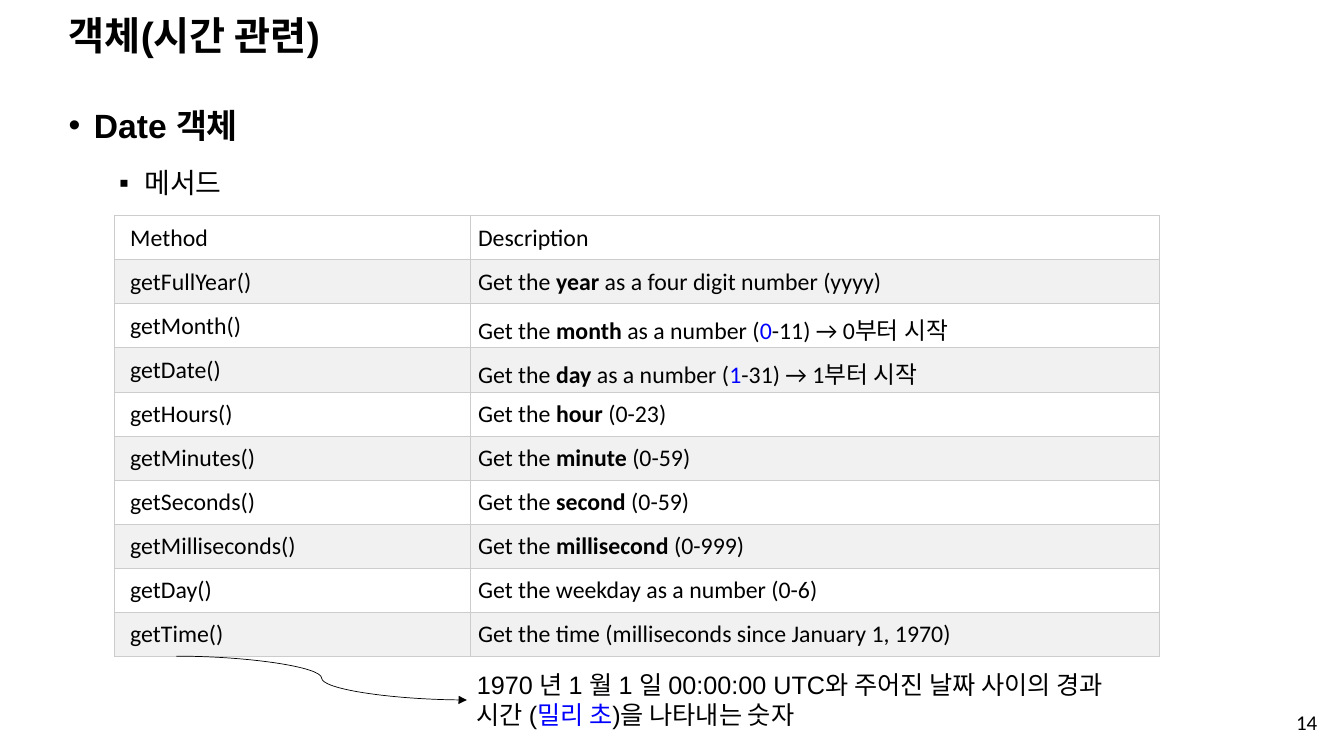
import pptx
import pptx.util
import pptx.dml.color
import pptx.enum.shapes
import pptx.enum.text
import pptx.oxml
import pptx.oxml.ns
from lxml import etree

Pt = pptx.util.Pt
Anchor = pptx.enum.text.MSO_ANCHOR
Align = pptx.enum.text.PP_ALIGN
NS = pptx.oxml.ns.nsdecls("a")
BLACK, BLUE, GRID = "000000", "0000FF", "CCCCCC"
BANDS = ("FFFFFF", "F1F1F1")


def paint(code):
    return pptx.dml.color.RGBColor.from_string(code)


def node(text):
    return pptx.oxml.parse_xml(text)


class Page:
    def __init__(self, deck):
        self.slide = deck.slides.add_slide(deck.slide_layouts[5])
        self.shapes = self.slide.shapes
        self.style = {"name": "Arial", "size": 18, "bold": False, "color": BLACK}

    def fill(self, para, runs, **form):
        """Fill a paragraph with (text, changes) runs."""
        for text, change in runs:
            run = para.add_run()
            run.text = text
            for key, value in {**self.style, **form, **change}.items():
                if key == "color":
                    run.font.color.rgb = paint(value)
                else:
                    setattr(run.font, key, Pt(value) if key == "size" else value)

    def title(self, text, box, **form):
        shape = self.shapes.title
        for key, value in zip(("left", "top", "width", "height"), box):
            setattr(shape, key, Pt(value))
        frame = shape.text_frame
        frame.auto_size = pptx.enum.text.MSO_AUTO_SIZE.NONE
        frame.vertical_anchor = Anchor.MIDDLE
        para = frame.paragraphs[0]
        para.alignment, para.line_spacing = Align.LEFT, 0.9
        self.fill(para, [(text, {})], **form)

    def text(self, runs, box, align=Align.LEFT, anchor=Anchor.TOP, **form):
        frame = self.shapes.add_textbox(*map(Pt, box)).text_frame
        frame.word_wrap = True
        frame.vertical_anchor = anchor
        para = frame.paragraphs[0]
        para.alignment = align
        self.fill(para, runs, **form)

    def outline(self, items, box):
        frame = self.shapes.add_textbox(*map(Pt, box)).text_frame
        frame.word_wrap = True
        for i, (text, mark, left, form) in enumerate(items):
            para = frame.add_paragraph() if i else frame.paragraphs[0]
            para.line_spacing = 1.4
            para.level = i
            para.space_before = Pt(5 if i else 0)
            props = para._p.get_or_add_pPr()
            props.set("marL", str(Pt(left)))
            props.set("indent", str(Pt(-18)))
            props.append(node(f'<a:buFont {NS} typeface="Arial"/>'))
            props.append(node(f'<a:buChar {NS} char="{mark}"/>'))
            self.fill(para, [(text, {})], **form)

    def table(self, rows, spot, widths, high, **form):
        grid = self.shapes.add_table(len(rows), len(widths), *map(Pt, spot),
                                     Pt(sum(widths)), Pt(high * len(rows))).table
        grid.first_row = grid.horz_banding = False
        for col, width in zip(grid.columns, widths):
            col.width = Pt(width)
        for r, row in enumerate(rows):
            grid.rows[r].height = Pt(high)
            for c, runs in enumerate(row):
                self.cell(grid.cell(r, c), runs, BANDS[r % 2], 5.5 if c else 11, form)

    def cell(self, cell, runs, shade, left, form):
        props = cell._tc.get_or_add_tcPr()
        for side in "LRTB":
            props.append(node(
                f'<a:ln{side} {NS} w="{Pt(0.75)}"><a:solidFill>'
                f'<a:srgbClr val="{GRID}"/></a:solidFill></a:ln{side}>'))
        cell.fill.solid()
        cell.fill.fore_color.rgb = paint(shade)
        for side in ("left", "right", "top", "bottom"):
            setattr(cell, "margin_" + side, Pt(left if side == "left" else 5.5))
        self.fill(cell.text_frame.paragraphs[0], runs, **form)

    def arrow(self, start, end):
        kind = pptx.enum.shapes.MSO_CONNECTOR.CURVE
        link = self.shapes.add_connector(kind, *map(Pt, start + end))
        link.line.width = Pt(0.5)
        link.line.color.rgb = paint(BLACK)
        link.line._get_or_add_ln().append(node(f'<a:tailEnd {NS} type="triangle"/>'))
        etree.SubElement(link._element.spPr, pptx.oxml.ns.qn("a:effectLst"))


def plain(text):
    return [(text, {})]


def get(word, tail):
    return [("Get the ", {}), (word, {"bold": True}), (tail, {})]


def count(word, first, last):
    return get(word, " as a number (") + [
        (first, {"color": BLUE}), (f"-{last}) → {first}부터 시작", {})]


METHODS = [
    ("Method", plain("Description")),
    ("getFullYear()", get("year", " as a four digit number (yyyy)")),
    ("getMonth()", count("month", "0", 11)),
    ("getDate()", count("day", "1", 31)),
    ("getHours()", get("hour", " (0-23)")),
    ("getMinutes()", get("minute", " (0-59)")),
    ("getSeconds()", get("second", " (0-59)")),
    ("getMilliseconds()", get("millisecond", " (0-999)")),
    ("getDay()", plain("Get the weekday as a number (0-6)")),
    ("getTime()", plain("Get the time (milliseconds since January 1, 1970)")),
]


def main():
    deck = pptx.Presentation()
    deck.slide_width, deck.slide_height = Pt(960), Pt(540)
    page = Page(deck)

    # Heading and outline
    page.title("객체(시간 관련)", (42, 13, 828, 27.4), size=28, bold=True)
    page.outline([("Date 객체", "•", 18, {"size": 24, "bold": True}),
                  ("메서드", "▪", 54, {"size": 20})], (42, 60, 880, 471))

    # Page number
    page.text(plain("14"), (678, 500.5, 270, 30), Align.RIGHT, Anchor.MIDDLE,
              name="Calibri", size=15)

    # Date methods
    page.table([(plain(name), about) for name, about in METHODS],
               (82, 154), (254, 492.5), 31.5, name="Calibri", size=17)

    # Note on getTime()
    page.text([("1970 년 1 월 1 일 00:00:00 UTC와 주어진 날짜 사이의 경과 시간 (", {}),
               ("밀리 초", {"color": BLUE}), (")을 나타내는 숫자", {})],
              (333.5, 474.5, 480, 51))
    page.arrow((126, 468.7), (333.5, 500))

    deck.save("out.pptx")


if __name__ == "__main__":
    main()
